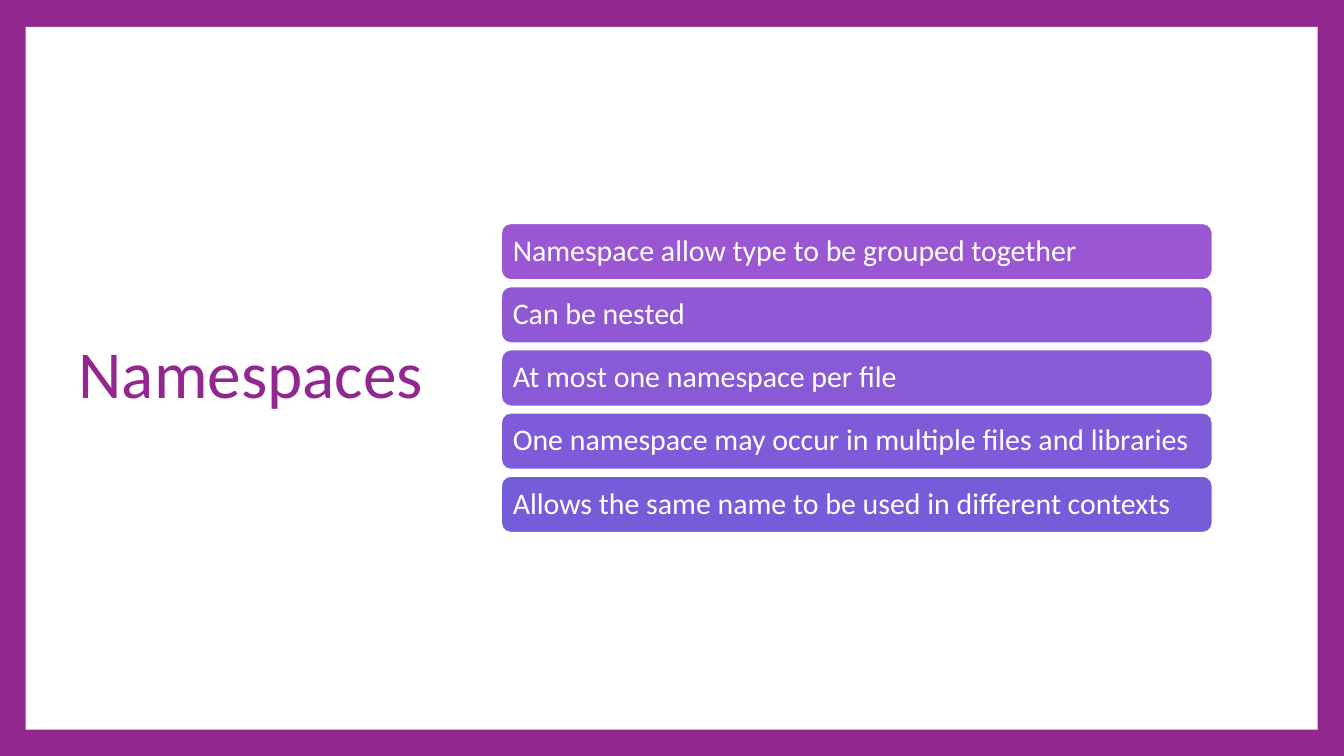
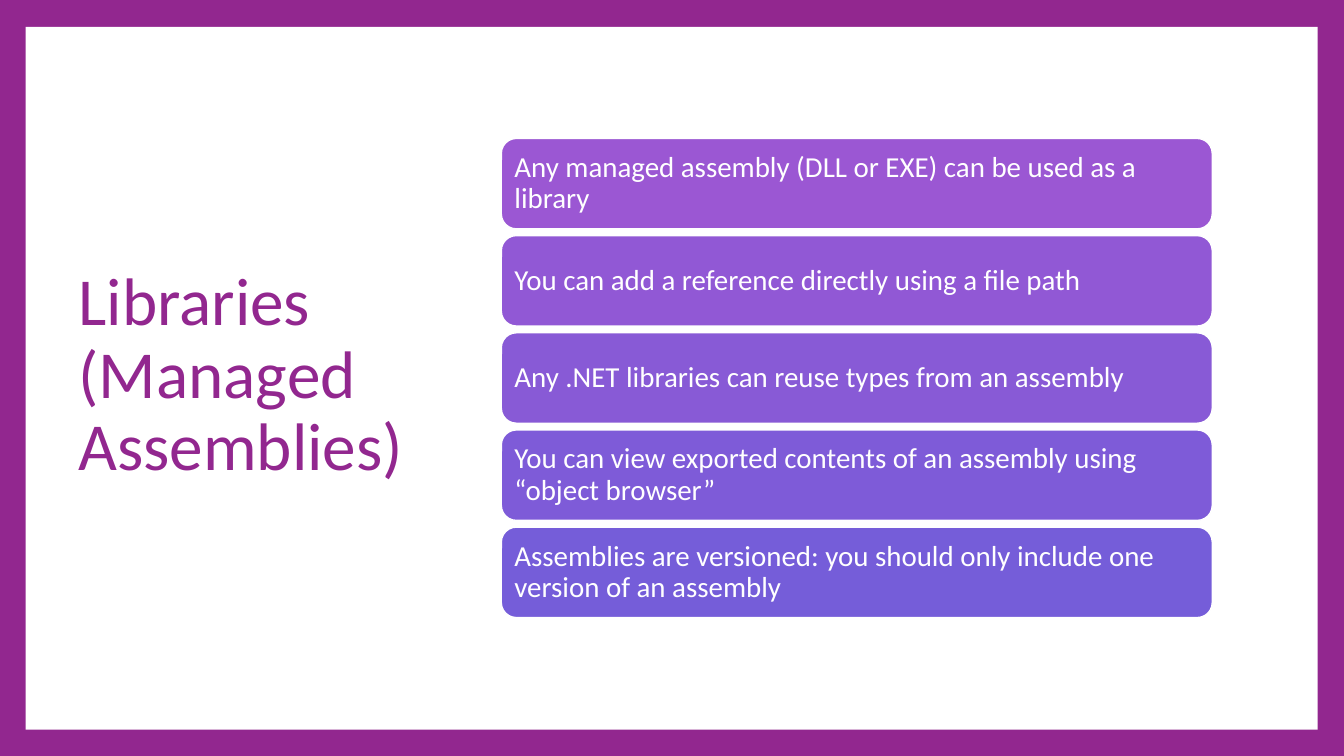
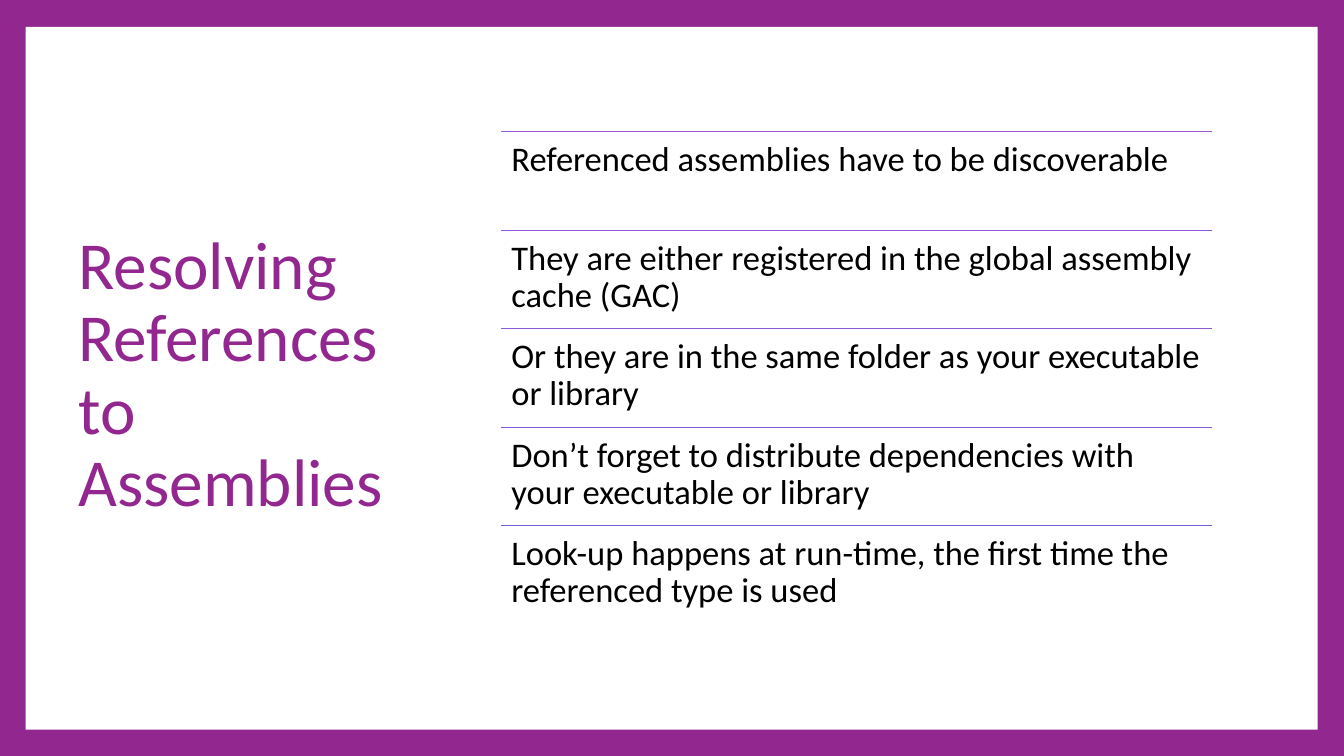
"""Build three slides on namespaces and managed assemblies."""
from lxml import etree
from pptx import Presentation
from pptx.dml.color import RGBColor
from pptx.enum.shapes import MSO_CONNECTOR, MSO_SHAPE
from pptx.enum.text import MSO_ANCHOR, PP_ALIGN
from pptx.oxml.ns import qn
from pptx.util import Pt

RECTANGLE, ROUNDED = MSO_SHAPE.RECTANGLE, MSO_SHAPE.ROUNDED_RECTANGLE
STRAIGHT = MSO_CONNECTOR.STRAIGHT
TOP, MIDDLE, LEFT = MSO_ANCHOR.TOP, MSO_ANCHOR.MIDDLE, PP_ALIGN.LEFT

PURPLE = RGBColor(0x92, 0x27, 0x8F)
WHITE = RGBColor(0xFF, 0xFF, 0xFF)
BLACK = RGBColor(0x00, 0x00, 0x00)
ROW_COLORS = [
    RGBColor(0x9B, 0x57, 0xD3),
    RGBColor(0x91, 0x58, 0xD5),
    RGBColor(0x88, 0x5A, 0xD6),
    RGBColor(0x7E, 0x5B, 0xD8),
    RGBColor(0x75, 0x5D, 0xD9),
]

SLIDES = [
    {
        "title": "Namespaces",
        "style": "bars", "stack_height": 460, "gap": 10, "size": 32,
        "rows": [
            "Namespace allow type to be grouped together",
            "Can be nested",
            "At most one namespace per file",
            "One namespace may occur in multiple files and libraries",
            "Allows the same name to be used in different contexts",
        ],
    },
    {
        "title": "Libraries (Managed Assemblies)",
        "style": "bars", "stack_height": 713, "gap": 10, "size": 31,
        "rows": [
            "Any managed assembly (DLL or EXE) can be used as a library",
            "You can add a reference directly using a file path",
            "Any .NET libraries can reuse types from an assembly",
            "You can view exported contents of an assembly using “object browser”",
            "Assemblies are versioned: you should only include one version of an assembly",
        ],
    },
    {
        "title": "Resolving References to Assemblies",
        "style": "rules", "stack_height": 733, "gap": 0, "size": 37,
        "rows": [
            "Referenced assemblies have to be discoverable",
            "They are either registered in the global assembly cache (GAC)",
            "Or they are in the same folder as your executable or library",
            "Don’t forget to distribute dependencies with your executable or library",
            "Look-up happens at run-time, the first time the referenced type is used",
        ],
    },
]

EMU_PER_PX = 9144
SLIDE_WIDTH, SLIDE_HEIGHT = 2000, 1125
PANEL_BOX = (38, 40, 1923, 1046)
TITLE_BOX = (107, 100, 552, 920)
ROW_LEFT, ROW_WIDTH = 746, 1058
TITLE_INSETS = (10, 5)
BAR_INSETS = (13, 13)
RULE_INSETS = (15, 15)
LINE_WIDTH = Pt(1.5)


def px(*lengths):
    return [round(length * EMU_PER_PX) for length in lengths]


def write(shape, text, size, color, anchor, insets):
    frame = shape.text_frame
    across, down = px(*insets)
    frame_format = {
        "word_wrap": True, "vertical_anchor": anchor,
        "margin_left": across, "margin_right": across,
        "margin_top": down, "margin_bottom": down,
    }
    for name, value in frame_format.items():
        setattr(frame, name, value)
    paragraph = frame.paragraphs[0]
    paragraph.alignment = LEFT
    paragraph.line_spacing = 0.9
    run = paragraph.add_run()
    run.text = text
    for name, value in {"name": "Calibri", "size": Pt(size)}.items():
        setattr(run.font, name, value)
    run.font.color.rgb = color


def add_filled(slide, preset, box, color):
    shape = slide.shapes.add_shape(preset, *px(*box))
    shape.shadow.inherit = False
    shape.fill.solid()
    shape.fill.fore_color.rgb = color
    return shape


def add_bar(slide, box, text, size, color):
    bar = add_filled(slide, ROUNDED, box, color)
    bar.line.color.rgb = WHITE
    bar.line.width = LINE_WIDTH
    write(bar, text, size, WHITE, MIDDLE, BAR_INSETS)


def add_ruled_row(slide, box, text, size, color):
    left, top, width, _ = box
    rule = slide.shapes.add_connector(STRAIGHT, *px(left, top, left + width, top))
    rule.line.color.rgb = color
    rule.line.width = LINE_WIDTH
    etree.SubElement(rule._element.spPr, qn("a:effectLst"))
    text_box = slide.shapes.add_textbox(*px(*box))
    write(text_box, text, size, BLACK, TOP, RULE_INSETS)


ROW_BUILDERS = {"bars": add_bar, "rules": add_ruled_row}


def add_base(slide, title):
    background = slide.background.fill
    background.solid()
    background.fore_color.rgb = PURPLE
    panel = add_filled(slide, RECTANGLE, PANEL_BOX, WHITE)
    panel.line.fill.background()
    title_box = slide.shapes.add_textbox(*px(*TITLE_BOX))
    write(title_box, title, 72, PURPLE, MIDDLE, TITLE_INSETS)


def add_rows(slide, content):
    rows, gap, stack_height = content["rows"], content["gap"], content["stack_height"]
    row_height = (stack_height - gap * (len(rows) - 1)) / len(rows)
    stack_top = (SLIDE_HEIGHT - stack_height) / 2
    add_row = ROW_BUILDERS[content["style"]]
    for index, (text, color) in enumerate(zip(rows, ROW_COLORS)):
        top = stack_top + index * (row_height + gap)
        add_row(slide, (ROW_LEFT, top, ROW_WIDTH, row_height), text, content["size"], color)


def main():
    presentation = Presentation()
    presentation.slide_width, presentation.slide_height = px(SLIDE_WIDTH, SLIDE_HEIGHT)
    blank_layout = presentation.slide_layouts[6]
    for content in SLIDES:
        slide = presentation.slides.add_slide(blank_layout)
        add_base(slide, content["title"])
        add_rows(slide, content)
    presentation.save("out.pptx")


if __name__ == "__main__":
    main()
